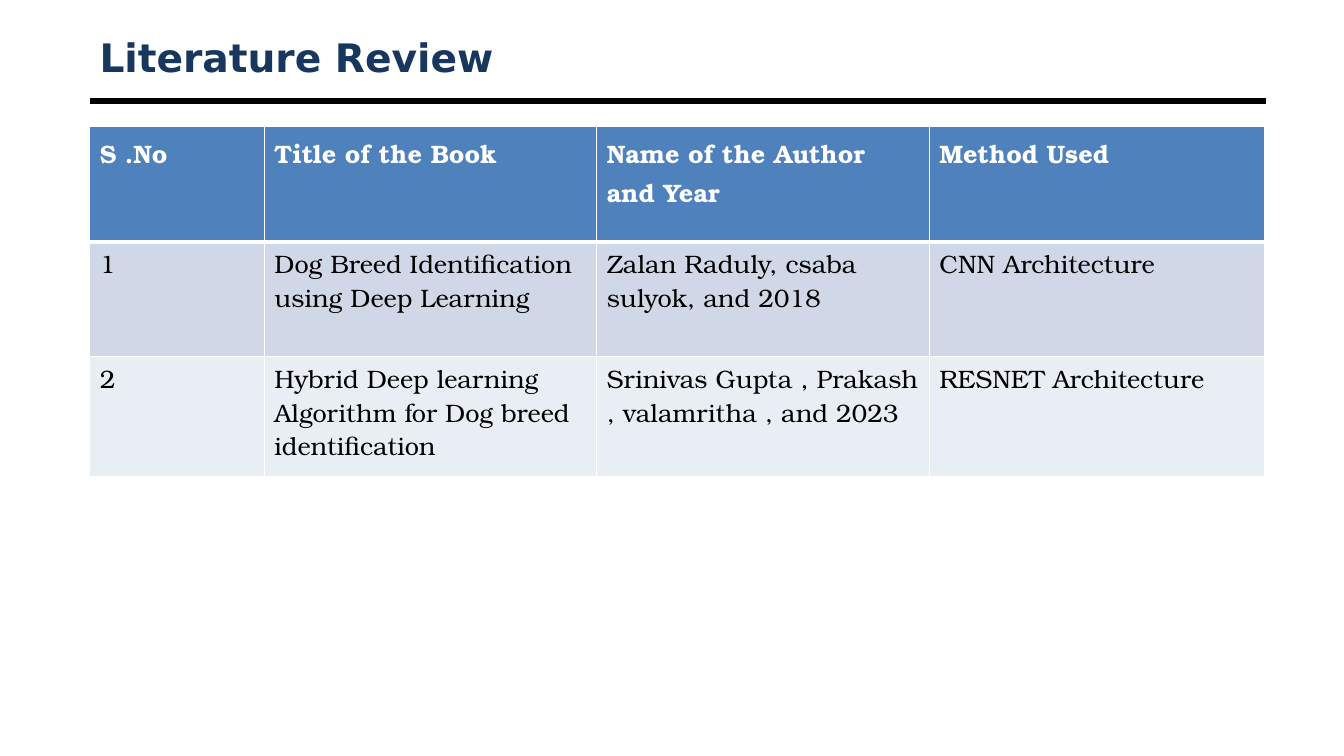
import pptx
import pptx.util
import pptx.dml.color
import pptx.enum.shapes
import pptx.enum.text
import pptx.oxml
import pptx.oxml.ns
from pptx.util import Cm

HUES = {"title": "17375E", "black": "000000", "white": "FFFFFF",
        "head": "4F81BD", "odd": "D0D8E8", "even": "E9EDF4"}
LEFT, WIDTH = 2.26, 29.64
COLS = [4.4, 8.38, 8.38, 8.46]
ROWS = [2.9, 2.9, 3.02]
BOOKS = [
    ["S .No", "Title of the Book", "Name of the Author and Year", "Method Used"],
    ["1", "Dog Breed Identification using Deep Learning",
     "Zalan Raduly, csaba sulyok, and 2018", "CNN Architecture"],
    ["2", "Hybrid Deep learning Algorithm for Dog breed identification",
     "Srinivas Gupta , Prakash , valamritha , and 2023", "RESNET Architecture"],
]


def hue(name):
    return pptx.dml.color.RGBColor.from_string(HUES[name])


def write(frame, text, size=18, font="TeX Gyre Bonum", color="black",
          bold=False, space=1.0):
    frame.word_wrap = True
    para = frame.paragraphs[0]
    para.alignment = pptx.enum.text.PP_ALIGN.LEFT
    para.line_spacing = space
    run = para.add_run()
    run.text = text
    run.font.size = pptx.util.Pt(size)
    run.font.name = font
    run.font.bold = bold
    run.font.color.rgb = hue(color)


def add_title(slide, text):
    box = slide.shapes.add_textbox(Cm(LEFT), Cm(0.76), Cm(WIDTH), Cm(1.35))
    box.text_frame.vertical_anchor = pptx.enum.text.MSO_ANCHOR.MIDDLE
    write(box.text_frame, text, size=28, font="DejaVu Sans", color="title", bold=True)


def add_rule(slide, top):
    kind = pptx.enum.shapes.MSO_CONNECTOR.STRAIGHT
    rule = slide.shapes.add_connector(kind, Cm(LEFT), Cm(top), Cm(LEFT + WIDTH), Cm(top))
    rule.line.color.rgb = hue("black")
    rule.line.width = pptx.util.Pt(4.5)
    rule._element.spPr.append(pptx.oxml.parse_xml(
        f"<a:effectLst {pptx.oxml.ns.nsdecls('a')}/>"))


def add_edge(cell, side, points):
    # Borders must come before the fill in the cell properties
    props = cell._tc.get_or_add_tcPr()
    edge = pptx.oxml.parse_xml(
        f'<a:{side} {pptx.oxml.ns.nsdecls("a")} w="{pptx.util.Pt(points)}">'
        f'<a:solidFill><a:srgbClr val="{HUES["white"]}"/></a:solidFill></a:{side}>')
    props.insert(len(props) - 1, edge)


def add_grid(slide, top):
    frame = slide.shapes.add_table(len(ROWS), len(COLS), Cm(LEFT), Cm(top),
                                   Cm(sum(COLS)), Cm(sum(ROWS)))
    table = frame.table
    for col, width in zip(table.columns, COLS):
        col.width = Cm(width)
    for row, height in zip(table.rows, ROWS):
        row.height = Cm(height)
    for r, texts in enumerate(BOOKS):
        head = r == 0
        for c, text in enumerate(texts):
            cell = table.cell(r, c)
            cell.fill.solid()
            cell.fill.fore_color.rgb = hue(("head", "odd", "even")[r])
            for side in ("lnL", "lnR", "lnT", "lnB"):
                thick = (head and side == "lnB") or (r == 1 and side == "lnT")
                add_edge(cell, side, 3 if thick else 1)
            write(cell.text_frame, text, color="white" if head else "black",
                  bold=head, space=1.07 if head else 1.0)


def main():
    deck = pptx.Presentation()
    deck.slide_width, deck.slide_height = Cm(33.87), Cm(19.05)
    slide = deck.slides.add_slide(deck.slide_layouts[6])
    # Heading
    add_rule(slide, 2.54)
    add_title(slide, "Literature Review")
    # Table of books
    add_grid(slide, 3.19)
    deck.save("out.pptx")


if __name__ == "__main__":
    main()
